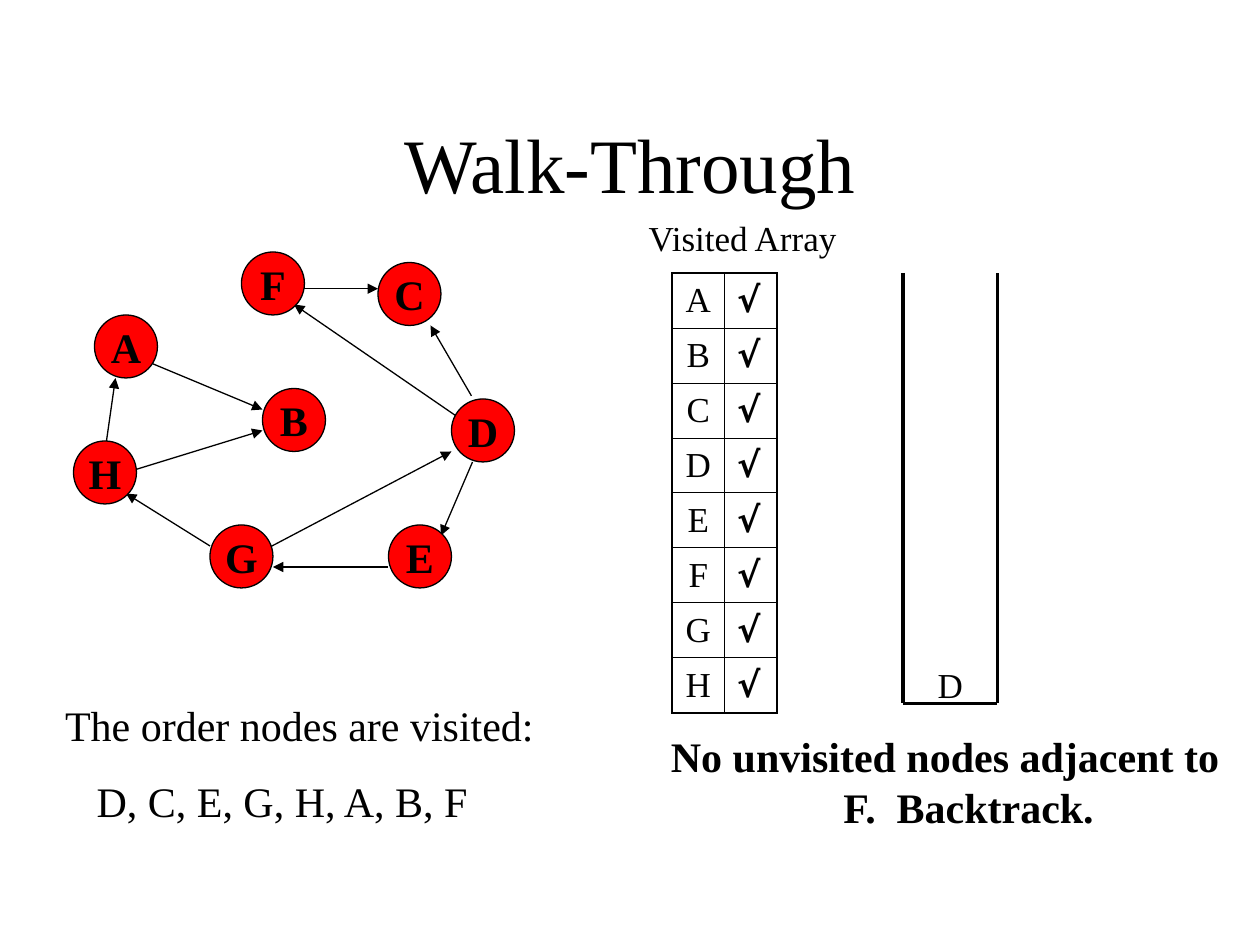
import pptx
import pptx.util
import pptx.dml.color
import pptx.enum.shapes
import pptx.enum.text
import pptx.oxml
import pptx.oxml.ns
import lxml.etree

Pt = pptx.util.Pt
ALIGN = pptx.enum.text.PP_ALIGN
ANCHOR = pptx.enum.text.MSO_ANCHOR
COLORS = {"ink": "000000", "node": "FF0000"}
COLS, ROWS = 120, 90
NODE = 6


class Board:
    font = "Times New Roman"
    check_font = "DejaVu Sans"

    def __init__(self, prs):
        self.slide = prs.slides.add_slide(prs.slide_layouts[1])
        self.shapes = self.slide.shapes
        self.col = prs.slide_width / COLS
        self.row = prs.slide_height / ROWS

    def color(self, name):
        return pptx.dml.color.RGBColor.from_string(COLORS[name])

    def box(self, x, y, w, h):
        return [round(v) for v in (x * self.col, y * self.row, w * self.col, h * self.row)]

    def place(self, sp, x, y, w, h):
        sp.left, sp.top, sp.width, sp.height = self.box(x, y, w, h)

    def fill_text(self, tf, text, size, bold=False, align=ALIGN.LEFT, before=0,
                  anchor=ANCHOR.TOP, wrap=True):
        tf.text = text
        tf.word_wrap = wrap
        tf.auto_size = pptx.enum.text.MSO_AUTO_SIZE.NONE
        tf.vertical_anchor = anchor
        for p in tf.paragraphs:
            self.style(p, size, bold, align, before)

    def style(self, p, size, bold, align, before, font=None):
        p.alignment = align
        p.space_before = Pt(before)
        for r in p.runs:
            r.font.name = font or self.font
            r.font.size = Pt(size)
            r.font.bold = bold
            r.font.color.rgb = self.color("ink")

    def indent(self, p, left, first=0):
        pPr = p._p.get_or_add_pPr()
        pPr.set("marL", str(round(left * self.col)))
        pPr.set("indent", str(round(first * self.col)))

    def title(self, text, x, y, w, h):
        sp = self.shapes.title
        self.place(sp, x, y, w, h)
        self.fill_text(sp.text_frame, text, 44, align=ALIGN.CENTER, anchor=ANCHOR.MIDDLE)

    def body(self, lines, indents, x, y, w, h):
        sp = self.slide.placeholders[1]
        self.place(sp, x, y, w, h)
        self.fill_text(sp.text_frame, "\n".join(lines), 24, before=15)
        for p, left in zip(sp.text_frame.paragraphs, indents):
            self.indent(p, left)
            lxml.etree.SubElement(p._p.get_or_add_pPr(), pptx.oxml.ns.qn("a:buNone"))

    def text(self, text, x, y, w, h, size, **style):
        sp = self.shapes.add_textbox(*self.box(x, y, w, h))
        self.fill_text(sp.text_frame, text, size, **style)
        return sp

    def line(self, start, end, width=0.75, arrow=True, shapes=None):
        x1, y1, x2, y2 = self.box(*start, *end)
        c = (shapes or self.shapes).add_connector(
            pptx.enum.shapes.MSO_CONNECTOR.STRAIGHT, x1, y1, x2, y2)
        c.line.color.rgb = self.color("ink")
        c.line.width = Pt(width)
        if arrow:
            tail = lxml.etree.SubElement(c.line._get_or_add_ln(), pptx.oxml.ns.qn("a:tailEnd"))
            tail.set("type", "triangle")
        lxml.etree.SubElement(c._element.spPr, pptx.oxml.ns.qn("a:effectLst"))

    def node(self, name, x, y):
        sp = self.shapes.add_shape(pptx.enum.shapes.MSO_SHAPE.OVAL, *self.box(x, y, NODE, NODE))
        sp.shadow.inherit = False
        sp.fill.solid()
        sp.fill.fore_color.rgb = self.color("node")
        sp.line.color.rgb = self.color("ink")
        sp.line.width = Pt(0.75)
        self.fill_text(sp.text_frame, name, 24, bold=True, align=ALIGN.CENTER, before=6,
                       anchor=ANCHOR.MIDDLE, wrap=False)

    def borders(self, cell, widths):
        tcPr = cell._tc.get_or_add_tcPr()
        for side, width in zip("LRTB", widths):
            tcPr.append(pptx.oxml.parse_xml(
                f'<a:ln{side} {pptx.oxml.ns.nsdecls("a")} w="{int(Pt(width))}"><a:solidFill>'
                f'<a:srgbClr val="{COLORS["ink"]}"/></a:solidFill></a:ln{side}>'))

    def table(self, rows, x, y, w, h):
        n, m = len(rows), len(rows[0])
        table = self.shapes.add_table(n, m, *self.box(x, y, w, h)).table
        table.first_row = table.horz_banding = False
        styles = [(ALIGN.CENTER, False, self.font), (ALIGN.LEFT, True, self.check_font)]
        for i, row in enumerate(rows):
            for j, value in enumerate(row):
                cell = table.cell(i, j)
                align, bold, font = styles[j]
                p = cell.text_frame.paragraphs[0]
                p.text = value
                self.style(p, 20, bold, align, 5, font)
                cell.vertical_anchor = ANCHOR.MIDDLE
                outer = (j == 0, j == m - 1, i == 0, i == n - 1)
                self.borders(cell, [1.08 if edge else 0.45 for edge in outer])
                cell.fill.background()

    def stack(self, x, y, w, h):
        group = self.shapes.add_group_shape()
        corners = [(x, y), (x, y + h), (x + w, y + h), (x + w, y)]
        for start, end in zip(corners, corners[1:]):
            self.line(start, end, 2.25, False, group.shapes)


def main():
    prs = pptx.Presentation()
    prs.slide_width = pptx.util.Inches(10)
    prs.slide_height = pptx.util.Inches(7.5)
    board = Board(prs)

    nodes = {"A": (9, 30), "B": (25, 37), "C": (36, 25), "D": (43, 38),
             "E": (37, 50), "F": (23, 24), "G": (20, 50), "H": (7, 42)}
    edges = [((44, 40), (28, 29)), ((45, 44), (42, 51)), ((12, 45), (25, 41)),
             ((24, 53), (43, 43)), ((10, 43), (11, 36)), ((13, 34), (25, 39)),
             ((44.9, 37.7), (41, 31)), ((37, 54), (26, 54)), ((20, 52), (12, 47)),
             ((29, 27.5), (36, 27.5))]
    for start, end in edges:
        board.line(start, end)
    for name, spot in nodes.items():
        board.node(name, *spot)

    board.title("Walk-Through", 9, 8, 102, 15)
    board.text("Visited Array", 60.6, 20, 22, 5.3, 20, before=12.5)
    board.table([(name, "√") for name in nodes], 64, 26, 10, 41.9)

    board.stack(86, 26, 9, 41)
    board.text("D", 86, 26, 9, 41.8, 20, align=ALIGN.CENTER, anchor=ANCHOR.BOTTOM)

    note = board.text("No unvisited nodes adjacent to F.  Backtrack.", 61, 69, 58, 10.8, 24,
                      bold=True, align=ALIGN.CENTER, before=15)
    board.indent(note.text_frame.paragraphs[0], 4.5, -4.5)
    board.body(["The order nodes are visited:", "D, C, E, G, H, A, B, F"], [0, 3],
               5, 66, 54, 13.3)
    prs.save("out.pptx")


if __name__ == "__main__":
    main()
